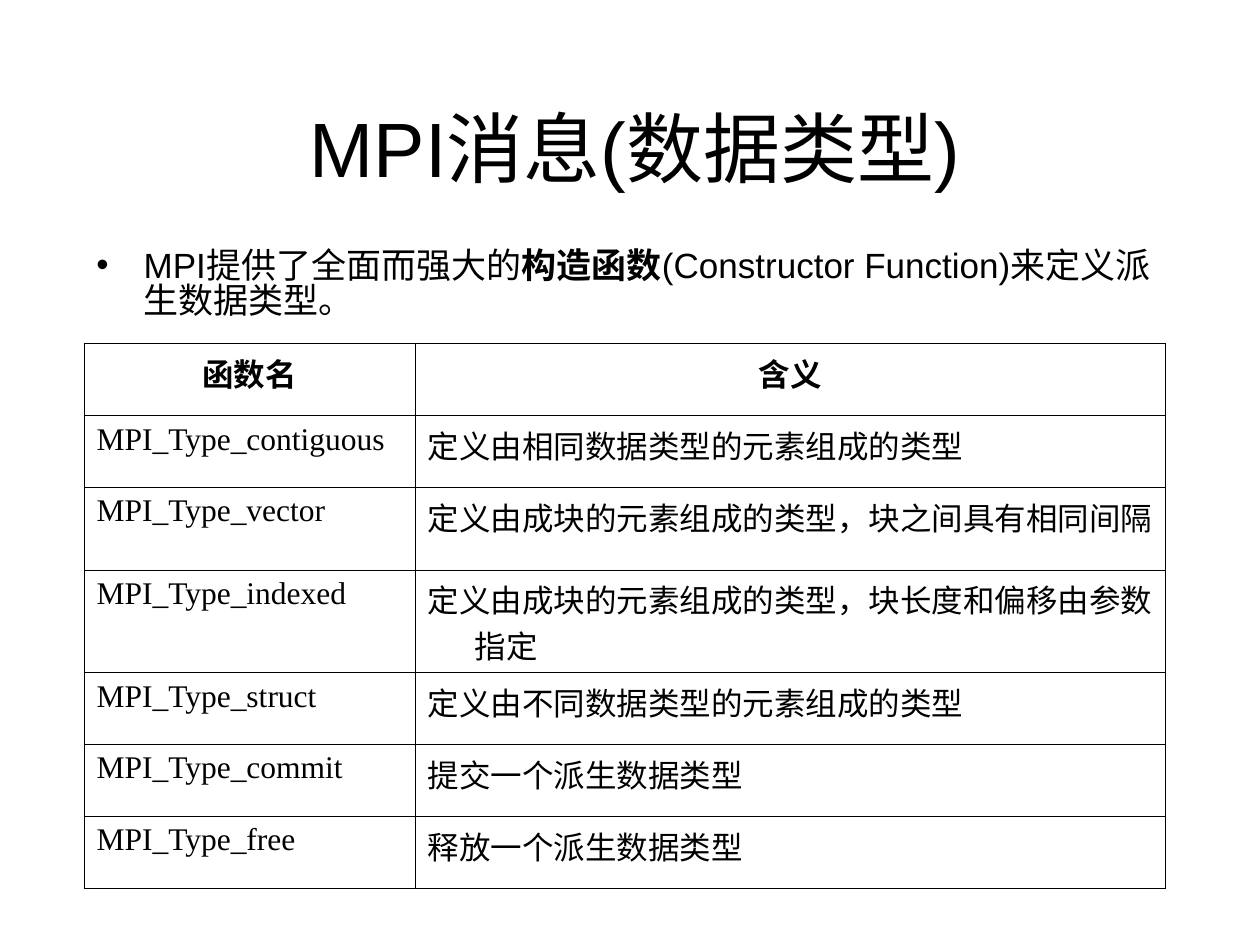
from dataclasses import dataclass

from lxml import etree
from pptx import Presentation
from pptx.dml.color import RGBColor
from pptx.enum.lang import MSO_LANGUAGE_ID
from pptx.enum.text import MSO_ANCHOR, PP_ALIGN
from pptx.oxml.ns import qn
from pptx.util import Pt

CENTER, LEFT = PP_ALIGN.CENTER, PP_ALIGN.LEFT
MIDDLE = MSO_ANCHOR.MIDDLE
CHINESE = MSO_LANGUAGE_ID.SIMPLIFIED_CHINESE
BLACK = RGBColor(0, 0, 0)
SANS, SERIF = "Arial", "Times New Roman"
HANGING = Pt(27)
BORDER = Pt(0.45)
CONTENT_LEFT, CONTENT_WIDTH = Pt(48), Pt(617.8)
NAME_WIDTH = Pt(189.2)


@dataclass(frozen=True)
class Function:
    name: str
    meaning: str
    height: float = 41.1


HEADER = Function("函数名", "含义")
FUNCTIONS = [
    Function("MPI_Type_contiguous", "定义由相同数据类型的元素组成的类型"),
    Function("MPI_Type_vector", "定义由成块的元素组成的类型，块之间具有相同间隔", 47.2),
    Function("MPI_Type_indexed", "定义由成块的元素组成的类型，块长度和偏移由参数指定", 58.6),
    Function("MPI_Type_struct", "定义由不同数据类型的元素组成的类型"),
    Function("MPI_Type_commit", "提交一个派生数据类型"),
    Function("MPI_Type_free", "释放一个派生数据类型"),
]


def style_run(run, size: float, face: str = SANS, bold: bool = False) -> None:
    run.font.size = Pt(size)
    run.font.name = face
    run.font.bold = bold
    run.font.color.rgb = BLACK
    run.font.language_id = CHINESE


def hang(paragraph):
    properties = paragraph._p.get_or_add_pPr()
    properties.set("marL", str(HANGING))
    properties.set("indent", str(-HANGING))
    return properties


def draw_title(slide) -> None:
    title = slide.shapes.add_textbox(Pt(54), Pt(54), CONTENT_WIDTH, Pt(60))
    frame = title.text_frame
    frame.word_wrap = True
    frame.vertical_anchor = MIDDLE
    frame.text = "MPI消息(数据类型)"
    frame.paragraphs[0].alignment = CENTER
    style_run(frame.paragraphs[0].runs[0], 44)


def draw_introduction(slide) -> None:
    introduction = slide.shapes.add_textbox(CONTENT_LEFT, Pt(138), CONTENT_WIDTH, Pt(75.6))
    frame = introduction.text_frame
    frame.word_wrap = True
    frame.margin_top = Pt(5.3)
    paragraph = frame.paragraphs[0]
    paragraph.line_spacing = 0.83
    properties = hang(paragraph)
    bullet_color = etree.SubElement(properties, qn("a:buClr"))
    etree.SubElement(bullet_color, qn("a:srgbClr"), val=str(BLACK))
    etree.SubElement(properties, qn("a:buFont"), typeface=SANS)
    etree.SubElement(properties, qn("a:buChar"), char="•")
    for words, bold in [
        ("MPI提供了全面而强大的", False),
        ("构造函数", True),
        ("(Constructor Function)来定义派生数据类型。", False),
    ]:
        run = paragraph.add_run()
        run.text = words
        style_run(run, 20, bold=bold)


def draw_borders(cell) -> None:
    properties = cell._tc.get_or_add_tcPr()
    for position, side in enumerate(("a:lnL", "a:lnR", "a:lnT", "a:lnB")):
        line = etree.Element(qn(side), w=str(BORDER))
        fill = etree.SubElement(line, qn("a:solidFill"))
        etree.SubElement(fill, qn("a:srgbClr"), val=str(BLACK))
        properties.insert(position, line)


def fill_cell(cell, words: str, face: str, heading: bool) -> None:
    cell.fill.background()
    draw_borders(cell)
    cell.text_frame.text = words
    paragraph = cell.text_frame.paragraphs[0]
    paragraph.alignment = CENTER if heading else LEFT
    hang(paragraph)
    style_run(paragraph.runs[0], 18, face, heading)


def draw_functions(slide) -> None:
    rows = [HEADER, *FUNCTIONS]
    height = Pt(sum(row.height for row in rows))
    table = slide.shapes.add_table(
        len(rows), 2, CONTENT_LEFT, Pt(196.4), CONTENT_WIDTH, height
    ).table
    table.first_row = table.horz_banding = False
    table.columns[0].width = NAME_WIDTH
    table.columns[1].width = CONTENT_WIDTH - NAME_WIDTH
    for index, row in enumerate(rows):
        heading = row is HEADER
        table.rows[index].height = Pt(row.height)
        fill_cell(table.cell(index, 0), row.name, SANS if heading else SERIF, heading)
        fill_cell(table.cell(index, 1), row.meaning, SANS, heading)
    meaning_heading = table.cell(0, 1)
    meaning_heading.margin_left = meaning_heading.margin_right = Pt(1.44)


def main() -> None:
    presentation = Presentation()
    presentation.slide_width, presentation.slide_height = Pt(720), Pt(540)
    slide = presentation.slides.add_slide(presentation.slide_layouts[6])
    draw_title(slide)
    draw_introduction(slide)
    draw_functions(slide)
    presentation.save("out.pptx")


if __name__ == "__main__":
    main()
